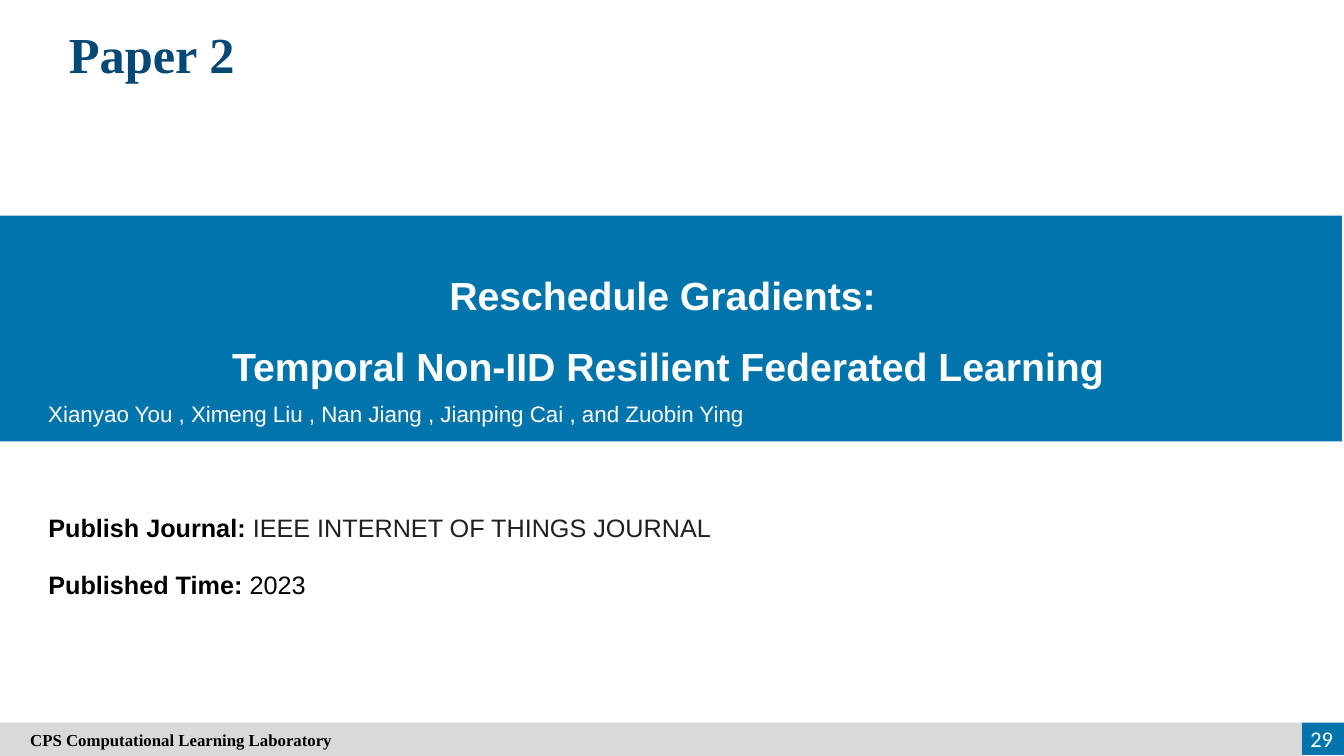
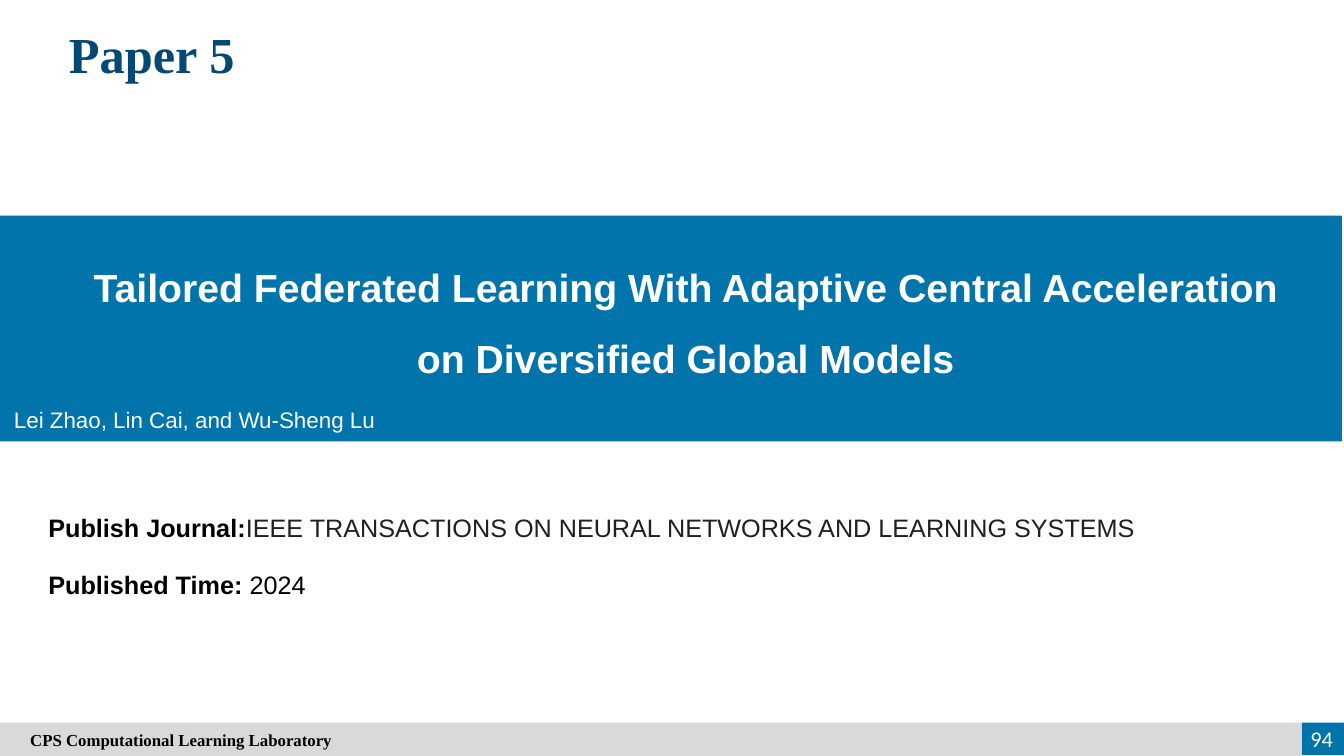
from dataclasses import dataclass

from lxml.etree import SubElement as Sub
from pptx import Presentation
from pptx.dml.color import RGBColor as RGB
from pptx.enum.shapes import MSO_SHAPE as Kind
from pptx.enum.text import MSO_ANCHOR as Anchor, MSO_AUTO_SIZE as Fit, PP_ALIGN as Align
from pptx.oxml.ns import qn
from pptx.util import Inches, Pt

# Shared colours and fonts
BLUE, NAVY, GREY = "0174AB", "044875", "D9D9D9"
WHITE, BLACK, INK = "FFFFFF", "000000", "231F20"
SANS, SERIF, DIGIT = "Arial", "Times New Roman", "Calibri"

# Shared measures, in inches
WIDE, HIGH = 13.33, 7.5
FOOT_TOP, FOOT_END = 7.17, 12.91


@dataclass
class Box:
    left: float
    top: float
    width: float
    height: float


@dataclass
class Style:
    size: float
    font: str
    color: str
    bold: bool = False


@dataclass
class Paper:
    title: str
    name: list[str]
    name_box: Box
    team: str
    team_box: Box
    facts: list[tuple[str, str, str]]  # label, value, value colour
    page: int


HEAD = Style(36, SERIF, NAVY, True)
NAME = Style(28, SANS, WHITE, True)
TEAM = Style(16, SANS, WHITE)
FOOT = Style(12, SERIF, BLACK, True)
PAGE = Style(16, DIGIT, WHITE)

PAPERS = [
    Paper(
        "Paper 2",
        ["Reschedule Gradients: ", "Temporal Non-IID Resilient Federated Learning"],
        Box(0.13, 2.41, 12.99, 1.43),
        "Xianyao You , Ximeng Liu , Nan Jiang , Jianping Cai , and Zuobin Ying",
        Box(0.38, 3.92, 9.08, 0.37),
        [("Publish Journal: ", "IEEE INTERNET OF THINGS JOURNAL", INK),
         ("Published Time:", " 2023", BLACK)],
        29,
    ),
    Paper(
        "Paper 5",
        ["Tailored Federated Learning With Adaptive Central Acceleration "
         "on Diversified Global Models"],
        Box(0.81, 2.33, 11.98, 1.43),
        "Lei Zhao, Lin Cai, and Wu-Sheng Lu",
        Box(0.04, 3.98, 9.7, 0.37),
        [("Publish Journal:",
          "IEEE TRANSACTIONS ON NEURAL NETWORKS AND LEARNING SYSTEMS", INK),
         ("Published Time:", " 2024", BLACK)],
        94,
    ),
]


def color(code: str) -> RGB:
    return RGB.from_string(code)


def place(shape, box: Box) -> None:
    shape.left, shape.top = Inches(box.left), Inches(box.top)
    shape.width, shape.height = Inches(box.width), Inches(box.height)


def paint(run, style: Style) -> None:
    font = run.font
    font.size, font.name, font.bold = Pt(style.size), style.font, style.bold
    font.color.rgb = color(style.color)


def setup(frame, anchor=Anchor.TOP) -> None:
    frame.word_wrap = True
    frame.auto_size = Fit.NONE
    frame.vertical_anchor = anchor


def write(shape, lines: list[str], style: Style, align=Align.LEFT,
          anchor=Anchor.TOP, pitch: float = 1.0) -> None:
    frame = shape.text_frame
    setup(frame, anchor)
    frame.text = "\n".join(lines)
    for para in frame.paragraphs:
        para.alignment, para.line_spacing = align, pitch
        for run in para.runs:
            paint(run, style)


def band(slide, box: Box, fill: str):
    shape = slide.shapes.add_shape(Kind.RECTANGLE, 0, 0, 0, 0)
    place(shape, box)
    shape.shadow.inherit = False
    shape.fill.solid()
    shape.fill.fore_color.rgb = color(fill)
    shape.line.fill.background()
    return shape


def label(slide, box: Box, lines: list[str], style: Style, **opts) -> None:
    shape = slide.shapes.add_textbox(0, 0, 0, 0)
    place(shape, box)
    write(shape, lines, style, **opts)


def footer(slide, page: int) -> None:
    band(slide, Box(FOOT_END, FOOT_TOP, WIDE - FOOT_END, 0.32), BLUE)
    bar = band(slide, Box(0, FOOT_TOP, FOOT_END, HIGH - FOOT_TOP), GREY)
    write(bar, ["CPS Computational Learning Laboratory"], FOOT, anchor=Anchor.MIDDLE)
    bar.text_frame.margin_left = Inches(0.3)
    label(slide, Box(12.69, 7.13, 0.63, 0.4), [str(page)], PAGE,
          align=Align.RIGHT, anchor=Anchor.MIDDLE)


def detail(body, facts: list[tuple[str, str, str]]) -> None:
    place(body, Box(0.38, 5.03, 12.74, 0.95))
    frame = body.text_frame
    setup(frame)
    for at, (key, value, ink) in enumerate(facts):
        para = frame.add_paragraph() if at else frame.paragraphs[0]
        # Plain lines: no bullet, no indent
        props = para._p.get_or_add_pPr()
        props.set("marL", "0")
        props.set("indent", "0")
        Sub(props, qn("a:buNone"))
        para.space_before = Pt(19 if at else 0)
        for text, code, bold in ((key, BLACK, True), (value, ink, False)):
            run = para.add_run()
            run.text = text
            paint(run, Style(18, SANS, code, bold))


def build(deck, paper: Paper) -> None:
    slide = deck.slides.add_slide(deck.slide_layouts[1])
    # Title and publication facts
    title, body = slide.placeholders
    place(title, Box(0.38, 0.18, 2.25, 0.71))
    write(title, [paper.title], HEAD, align=Align.CENTER)
    detail(body, paper.facts)
    # Blue band with paper name and authors
    band(slide, Box(0, 2.14, 13.31, 2.24), BLUE)
    label(slide, paper.name_box, paper.name, NAME, align=Align.CENTER, pitch=1.5)
    label(slide, paper.team_box, [paper.team], TEAM)
    footer(slide, paper.page)


def main() -> None:
    deck = Presentation()
    deck.slide_width, deck.slide_height = Inches(WIDE), Inches(HIGH)
    for paper in PAPERS:
        build(deck, paper)
    deck.save("out.pptx")


if __name__ == "__main__":
    main()
